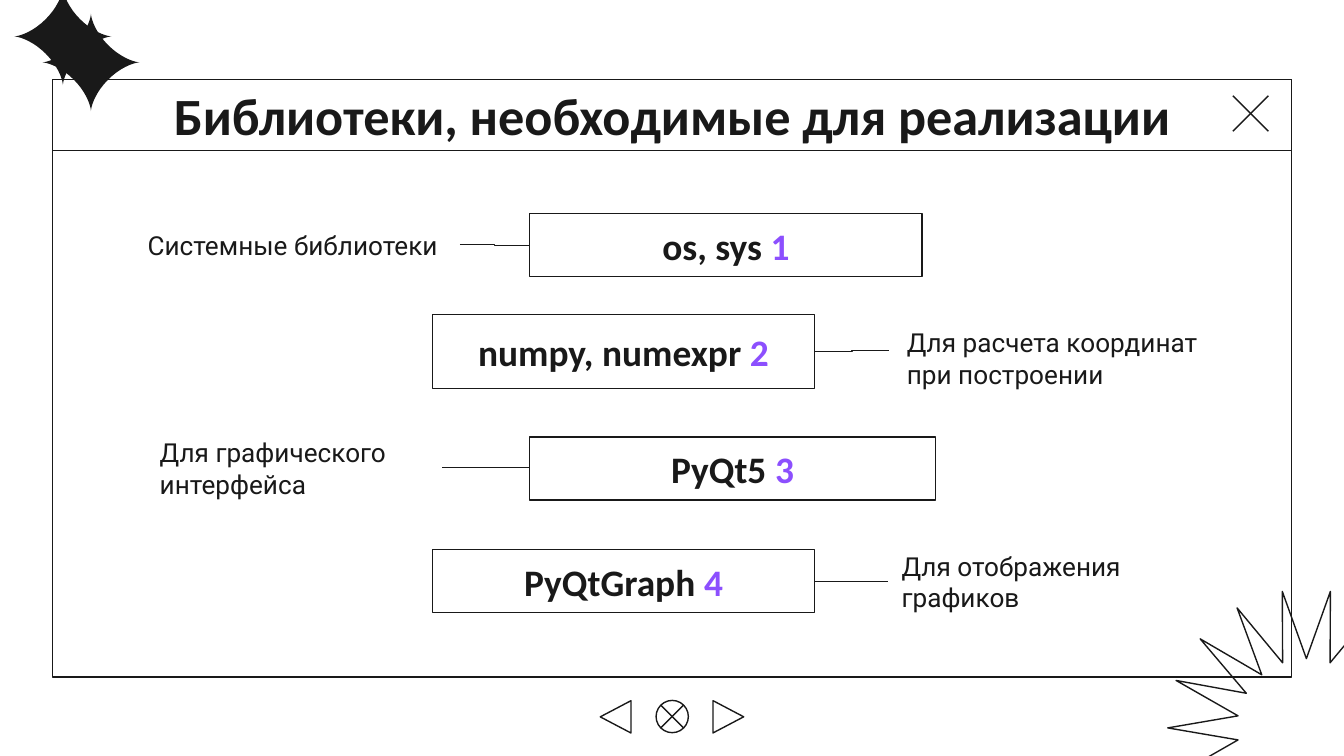
"""Build a slide that lists the Python libraries of a project and what each is for."""
from math import cos, pi, sin

from lxml.etree import SubElement
from pptx import Presentation
from pptx.dml.color import RGBColor
from pptx.enum.shapes import MSO_CONNECTOR as LINK, MSO_SHAPE as SHAPE
from pptx.enum.text import MSO_ANCHOR as ANCHOR, PP_ALIGN as ALIGN
from pptx.oxml.ns import qn
from pptx.util import Cm, Pt

COLORS = {"ink": "191919", "accent": "8C4FFE", "paper": "FFFFFF"}
FRAME = {
    "margin_left": Cm(0.25), "margin_right": Cm(0.25),
    "margin_top": Cm(0.25), "margin_bottom": Cm(0.25),
    "word_wrap": True, "vertical_anchor": ANCHOR.MIDDLE,
}
HEADING = {"name": "Calibri", "size": Pt(28), "bold": True}
LIBRARY = {"name": "Calibri", "size": Pt(20), "bold": True}
CAPTION = {"name": "Roboto", "size": Pt(14), "bold": False}

LIBRARIES = [
    ("os, sys", (10.01, 4.04, 7.42, 1.19),
     "Системные библиотеки", (2.54, 3.84, 6.27, 1.6), (8.69, 4.62, 10.01, 4.64)),
    ("numpy, numexpr", (8.18, 5.94, 7.21, 1.4),
     "Для расчета координат при построении", (16.89, 5.97, 6.55, 1.6), (15.39, 6.65, 16.81, 6.63)),
    ("PyQt5", (10.01, 8.26, 7.67, 1.19),
     "Для графического интерфейса", (2.77, 8.05, 5.74, 1.6), (8.36, 8.84, 10.01, 8.84)),
    ("PyQtGraph", (8.18, 10.39, 7.21, 1.19),
     "Для отображения графиков", (16.79, 10.19, 5.74, 1.6), (15.39, 10.99, 16.79, 10.99)),
]


def color(name):
    """Return the named colour."""
    return RGBColor.from_string(COLORS[name])


def apply(target, values):
    """Set each format value on the target."""
    for attribute, value in values.items():
        setattr(target, attribute, value)


def outline(item):
    """Give the item a thin dark line."""
    item.line.color.rgb = color("ink")
    item.line.width = Pt(0.75)


def add_outlined(slide, kind, box, rotation=0):
    """Add an unfilled preset shape with a thin line."""
    shape = slide.shapes.add_shape(kind, *map(Cm, box))
    shape.shadow.inherit = False
    shape.fill.background()
    shape.rotation = rotation
    outline(shape)
    return shape


def add_line(slide, ends, kind=LINK.STRAIGHT):
    """Add a thin connector between two points."""
    line = slide.shapes.add_connector(kind, *map(Cm, ends))
    outline(line)
    SubElement(line._element.spPr, qn("a:effectLst"))


def write(shape, runs, font, align):
    """Write one paragraph of (text, colour name) runs."""
    apply(shape.text_frame, FRAME)
    paragraph = shape.text_frame.paragraphs[0]
    paragraph.alignment = align
    for text, tint in runs:
        run = paragraph.add_run()
        run.text = text
        apply(run.font, font)
        run.font.color.rgb = color(tint)


def add_polygon(slide, points):
    """Add a closed outline through points given in centimetres."""
    start, *rest = [(Cm(x), Cm(y)) for x, y in points]
    builder = slide.shapes.build_freeform(*start)
    builder.add_line_segments(rest, close=True)
    shape = builder.convert_to_shape()
    shape.shadow.inherit = False
    return shape


def add_sunburst(slide, x, y, outer, inner, spikes):
    """Add an unfilled star with many spikes."""
    points = []
    for corner in range(2 * spikes):
        radius = outer if corner % 2 else inner
        angle = corner * pi / spikes
        points.append((x + radius * sin(angle), y - radius * cos(angle)))
    burst = add_polygon(slide, points)
    burst.fill.background()
    outline(burst)


def add_sparkle(slide, x, y, radius, steps=80):
    """Add a filled four-pointed star with hollow curved sides."""
    angles = [2 * pi * step / steps for step in range(steps)]
    sparkle = add_polygon(
        slide, [(x + radius * cos(a) ** 3, y + radius * sin(a) ** 3) for a in angles])
    sparkle.fill.solid()
    sparkle.fill.fore_color.rgb = color("ink")
    sparkle.line.fill.background()


def add_library(slide, number, name, box, purpose, caption_box, link):
    """Add a numbered library box, its purpose and the link between them."""
    library = add_outlined(slide, SHAPE.RECTANGLE, box)
    write(library, [(f"{name} ", "ink"), (str(number), "accent")], LIBRARY, ALIGN.CENTER)
    caption = slide.shapes.add_textbox(*map(Cm, caption_box))
    write(caption, [(purpose, "ink")], CAPTION, ALIGN.LEFT)
    add_line(slide, link, LINK.ELBOW)


def add_window(slide):
    """Add the window frame, its close cross and the ornaments."""
    add_line(slide, (23.3, 1.81, 23.97, 2.48))
    add_line(slide, (23.3, 2.48, 23.97, 1.81))
    add_outlined(slide, SHAPE.RECTANGLE, (0.99, 1.5, 23.42, 11.3))
    add_sunburst(slide, 24.69, 13.76, 2.62, 1.31, 18)
    for x, y in ((1.19, 0.69), (1.72, 1.18)):
        add_sparkle(slide, x, y, 0.92)


def add_navigation(slide):
    """Add the back, close and forward buttons."""
    add_outlined(slide, SHAPE.ISOSCELES_TRIANGLE, (11.33, 13.26, 0.61, 0.58), 270)
    add_outlined(slide, SHAPE.FLOWCHART_SUMMING_JUNCTION, (12.4, 13.24, 0.61, 0.61))
    add_outlined(slide, SHAPE.ISOSCELES_TRIANGLE, (13.46, 13.26, 0.61, 0.58), 90)


def main():
    """Build and save the slide."""
    deck = Presentation()
    apply(deck, {"slide_width": Cm(25.4), "slide_height": Cm(14.29)})
    slide = deck.slides.add_slide(deck.slide_layouts[6])
    slide.background.fill.solid()
    slide.background.fill.fore_color.rgb = color("paper")
    add_window(slide)
    for number, library in enumerate(LIBRARIES, start=1):
        add_library(slide, number, *library)
    title = add_outlined(slide, SHAPE.RECTANGLE, (0.99, 1.5, 23.42, 1.35))
    write(title, [("Библиотеки, необходимые для реализации", "ink")], HEADING, ALIGN.CENTER)
    add_navigation(slide)
    deck.save("out.pptx")


if __name__ == "__main__":
    main()
